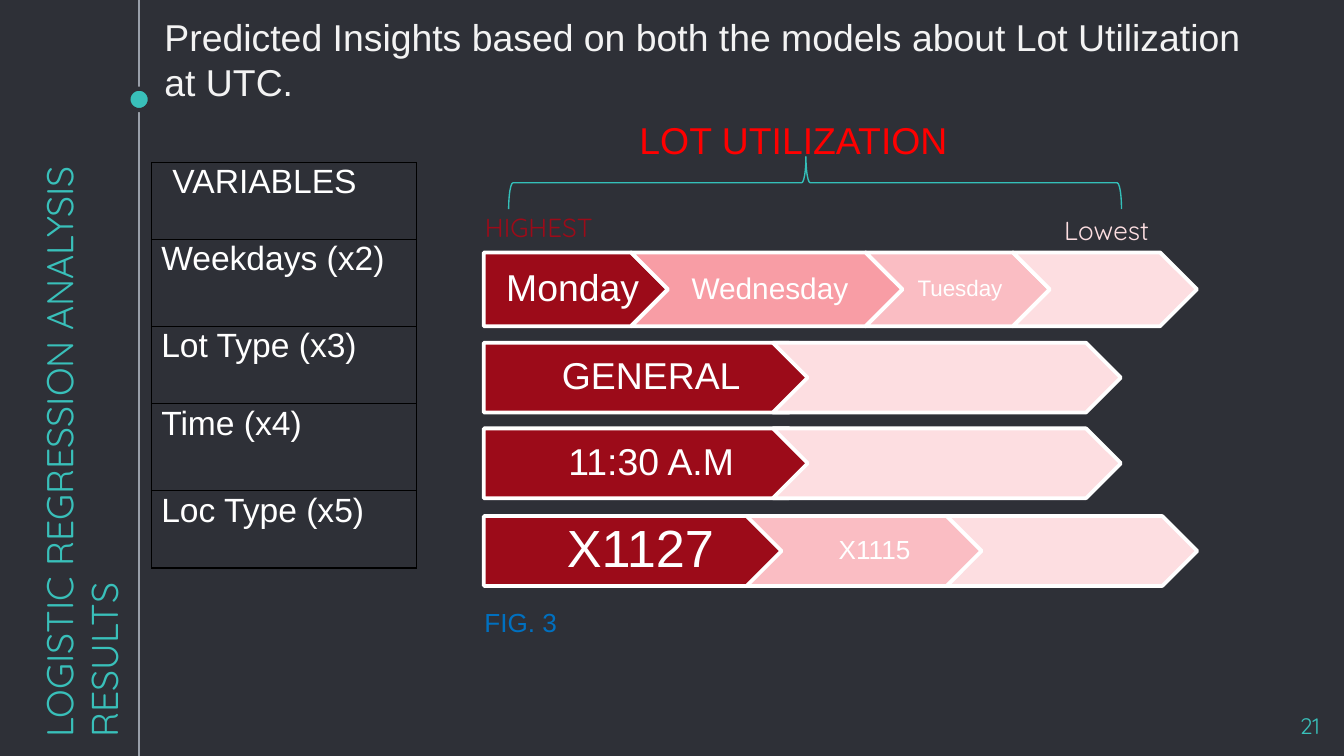
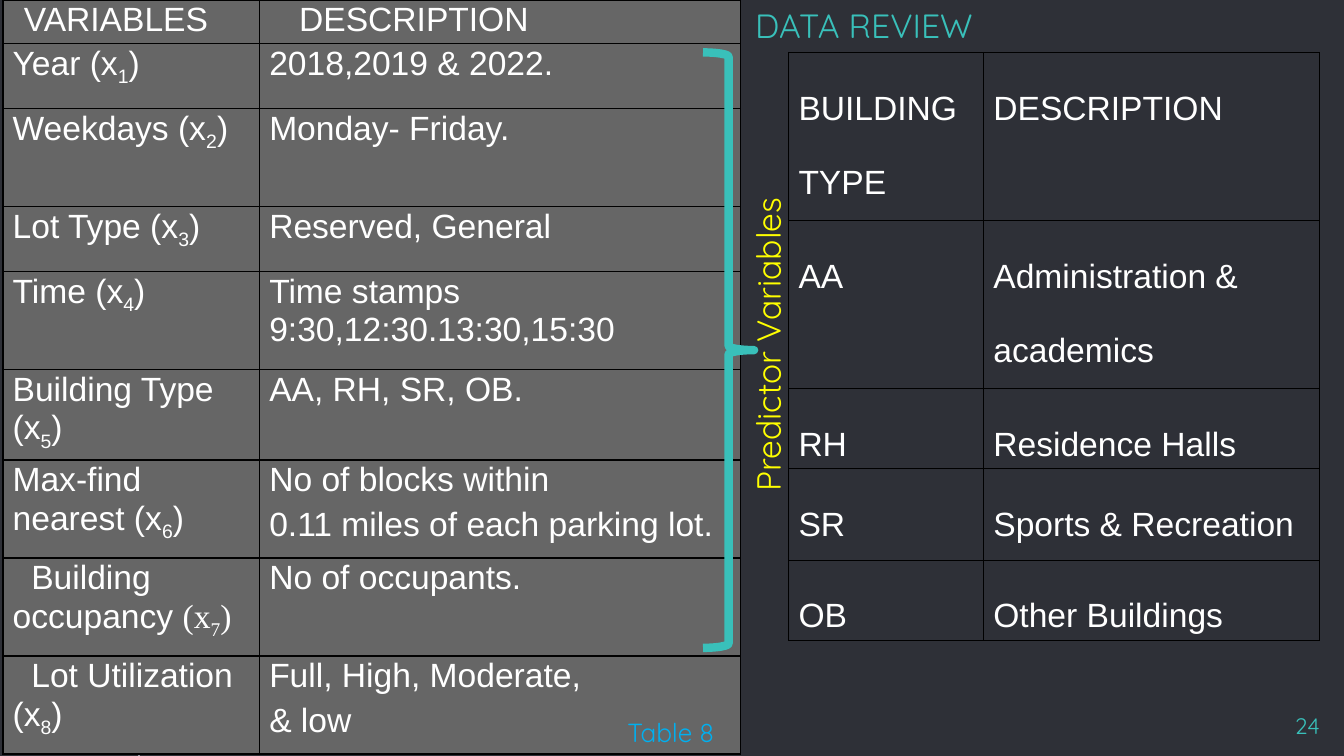
import pptx
import pptx.dml.color
import pptx.enum.shapes
import pptx.enum.text
import pptx.oxml.ns
import pptx.util
from lxml import etree

Pt = pptx.util.Pt
ALIGN = pptx.enum.text.PP_ALIGN
ANCHOR = pptx.enum.text.MSO_ANCHOR
SHAPE = pptx.enum.shapes.MSO_SHAPE
qn = pptx.oxml.ns.qn

COLORS = {
    "background": "2E3037", "rail": "999FA9", "teal": "39C0BA", "brace": "34BFB9",
    "white": "FFFFFF", "subtitle": "F3F3F3", "black": "000000", "gray": "666666",
    "red": "FF0000", "yellow": "FFFF00", "blue": "0070C0", "sky": "00B0F0",
    "highest": "9C0B19", "high": "F89DA5", "low": "FABDC3", "lowest": "FDDEE1",
}
BODY, DISPLAY, SERIF = "Arial", "Quicksand", "Times New Roman"
JUSTIFIED = {"align": ALIGN.JUSTIFY}


def rgb(name):
    return pptx.dml.color.RGBColor.from_string(COLORS[name])


def write(frame, text, size=18, font=BODY, color="white", align=ALIGN.LEFT, anchor=ANCHOR.TOP,
          insets=None, line_spacing=None, gap=0, indent=(0, 0)):
    """Fill a frame; text is one paragraph or a list of them, each a string
    or a tuple of (text, run format) pairs."""
    frame.word_wrap = True
    frame.vertical_anchor = anchor
    if insets:
        (frame.margin_left, frame.margin_top,
         frame.margin_right, frame.margin_bottom) = map(Pt, insets)
    for index, content in enumerate(text if isinstance(text, list) else [text]):
        paragraph = frame.add_paragraph() if index else frame.paragraphs[0]
        paragraph.alignment = align
        if line_spacing:
            paragraph.line_spacing = line_spacing
        if index and gap:
            paragraph.space_before = Pt(gap)
        if any(indent):
            properties = paragraph._p.get_or_add_pPr()
            properties.set("marL", str(Pt(indent[0])))
            properties.set("indent", str(Pt(indent[1])))
        for words, style in ((content, {}),) if isinstance(content, str) else content:
            run = paragraph.add_run()
            run.text = words
            run.font.size = Pt(size)
            run.font.name = style.get("font", font)
            run.font.color.rgb = rgb(color)
            if "baseline" in style:
                run._r.get_or_add_rPr().set("baseline", str(style["baseline"]))


def variable(name, number, font=BODY):
    """Name of a predictor followed by its subscripted symbol."""
    return ((name + " ", {}), ("(x", {"font": font}),
            (str(number), {"font": font, "baseline": -25000}), (")", {"font": font}))


class Deck:
    def __init__(self):
        self.presentation = pptx.Presentation()
        self.presentation.slide_width, self.presentation.slide_height = Pt(720), Pt(405)
        self.layout = self.presentation.slide_layouts.get_by_name("Title Only")
        self.slide = None

    def add_slide(self, title, box, number, size, rotation=0):
        first = self.slide is None
        self.slide = self.presentation.slides.add_slide(self.layout)
        if first:
            self.decorate_layout()
        heading = self.slide.shapes.title
        heading.left, heading.top, heading.width, heading.height = map(Pt, box)
        heading.rotation = rotation
        heading.text_frame.auto_size = pptx.enum.text.MSO_AUTO_SIZE.NONE
        write(heading.text_frame, title, size=size, font=DISPLAY, color="teal",
              anchor=ANCHOR.BOTTOM, insets=[7.2] * 4)
        self.text(str(number), (671, 374.4, 43.2, 24.5), size=12, font=DISPLAY,
                  color="teal", align=ALIGN.RIGHT)

    def decorate_layout(self):
        """Give the layout its background and the rail with its marker."""
        fill = self.layout.background.fill
        fill.solid()
        fill.fore_color.rgb = rgb("background")
        rail = self.line((74.4, 0), (74.4, 405), "rail", 0.75)
        marker = self.shape(SHAPE.OVAL, (68.8, 47.5, 11.5, 11.5), fill="teal",
                            line="background", width=2.25)
        for part in (rail, marker):
            self.layout.element.cSld.spTree.append(part.element)

    def line(self, start, end, color, width):
        connector = self.slide.shapes.add_connector(
            pptx.enum.shapes.MSO_CONNECTOR.STRAIGHT, *map(Pt, start + end))
        connector.line.color.rgb = rgb(color)
        connector.line.width = Pt(width)
        etree.SubElement(connector.element.spPr, qn("a:effectLst"))
        return connector

    def shape(self, kind, box, fill=None, line="white", width=2, rotation=0,
              adjustments=(), parent=None):
        shape = (parent or self.slide).shapes.add_shape(kind, *map(Pt, box))
        shape.shadow.inherit = False
        shape.rotation = rotation
        for index, value in enumerate(adjustments):
            shape.adjustments[index] = value
        if fill:
            shape.fill.solid()
            shape.fill.fore_color.rgb = rgb(fill)
        else:
            shape.fill.background()
        shape.line.color.rgb = rgb(line)
        shape.line.width = Pt(width)
        return shape

    def text(self, text, box, rotation=0, insets=(7.2, 7.2, 7.2, 7.2), **style):
        label = self.slide.shapes.add_textbox(*map(Pt, box))
        label.rotation = rotation
        write(label.text_frame, text, insets=insets, **style)

    def ranking(self, top, height, overlap, steps):
        """Row of interlocking arrows, each step (text or None, width, size, colour)."""
        group = self.slide.shapes.add_group_shape()
        left = 259.2
        for index, (words, width, size, color) in enumerate(steps):
            kind = SHAPE.CHEVRON if index else SHAPE.PENTAGON
            arrow = self.shape(kind, (left, top, width, height), fill=color, parent=group)
            if words:
                insets = [size * part for part in (0.31 if index else 0.43, 0.2, 0.1, 0.2)]
                write(arrow.text_frame, words, size=size, align=ALIGN.CENTER,
                      anchor=ANCHOR.MIDDLE, insets=insets, line_spacing=0.9)
            left += width - overlap

    def table(self, origin, widths, heights, rows, fill=None, formats=None, **style):
        """Bordered table; formats maps (row, column) to changes of the style."""
        box = (*origin, sum(widths), sum(heights))
        table = self.slide.shapes.add_table(len(rows), len(widths), *map(Pt, box)).table
        table.first_row = table.horz_banding = False
        for column, width in zip(table.columns, widths):
            column.width = Pt(width)
        for r, (row, height) in enumerate(zip(rows, heights)):
            table.rows[r].height = Pt(height)
            for c, content in enumerate(row):
                cell = table.cell(r, c)
                cell.margin_left = cell.margin_right = Pt(5.2)
                cell.margin_top = cell.margin_bottom = 0
                self.border(cell)
                if fill:
                    cell.fill.solid()
                    cell.fill.fore_color.rgb = rgb(fill)
                else:
                    cell.fill.background()
                write(cell.text_frame, content, **{**style, **(formats or {}).get((r, c), {})})

    def border(self, cell):
        properties = cell._tc.get_or_add_tcPr()
        for side in ("lnL", "lnR", "lnT", "lnB"):
            edge = etree.SubElement(properties, qn("a:" + side), w=str(Pt(0.75)))
            solid = etree.SubElement(edge, qn("a:solidFill"))
            etree.SubElement(solid, qn("a:srgbClr"), val=COLORS["black"])


def build_insights(deck):
    deck.add_slide("LOGISTIC REGRESSION ANALYSIS RESULTS", (-113, 215, 345.6, 29.5),
                   21, size=20, rotation=270)
    deck.text("Predicted Insights based on both the models about Lot Utilization at UTC.",
              (81, 0.4, 601.2, 26), size=20, color="subtitle")
    names = ["VARIABLES", "Weekdays (x2)", "Lot Type (x3)", "Time (x4)", "Loc Type (x5)"]
    formats = {(r, 0): JUSTIFIED for r in range(1, len(names))}
    formats[0, 0] = {"indent": (6, 0)}
    deck.table((81.2, 87), [141.8], [41.2, 46.7, 41.4, 46.7, 41.4],
               [[name] for name in names], formats=formats, line_spacing=1.03)
    deck.text("FIG. 3", (252.4, 319, 59, 25.2), insets=(7.2, 3.6, 7.2, 3.6), size=14,
              color="blue", line_spacing=1.15)

    deck.ranking(135.2, 39.6, 19.7, [
        ("Monday", 98.6, 20, "highest"), ("Wednesday", 145.4, 16, "high"),
        ("Tuesday", 98.6, 12, "low"), (None, 98.6, 12, "lowest")])
    for top, best in ((183.6, "GENERAL"), (229.5, "11:30 A.M")):
        deck.ranking(top, 37.4, 27.4, [(best, 182.2, 20, "highest"),
                                       (None, 186.5, 12, "lowest")])
    deck.ranking(276.5, 37.4, 27, [
        ("X1127", 167.8, 28, "highest"), ("X1115", 134.2, 14, "low"),
        (None, 134.2, 12, "lowest")])

    deck.shape(SHAPE.LEFT_BRACE, (422.6, -66.2, 28.1, 328.3), line="brace", width=0.75,
               rotation=90, adjustments=(0.083, 0.515))
    deck.text("HIGHEST", (252.7, 105.8, 75.6, 26), size=14, font=DISPLAY, color="highest")
    deck.text("Lowest", (563, 107.6, 75.6, 26), size=14, font=DISPLAY, color="lowest")
    deck.text("LOT UTILIZATION", (335.5, 55.4, 189.4, 26), size=20, color="red")


def build_data_review(deck):
    deck.add_slide("DATA REVIEW", (397.4, 1.8, 136, 29.5), 24, size=18)
    buildings = [
        [["BUILDING", "TYPE"], "DESCRIPTION"],
        ["AA", ["Administration &", "academics"]],
        ["RH", "Residence Halls"],
        ["SR", "Sports & Recreation"],
        ["OB", "Other Buildings"],
    ]
    justified = [(0, 0), (0, 1), (2, 0), (3, 0), (4, 0)]
    deck.table((422.6, 28.1), [104.4, 180], [90, 90, 41.4, 49, 41.4], buildings,
               formats=dict.fromkeys(justified, JUSTIFIED), line_spacing=1.99)

    predictors = [
        ["VARIABLES", "DESCRIPTION"],
        [variable("Year", 1), "2018,2019 & 2022."],
        [variable("Weekdays", 2), "Monday- Friday."],
        [variable("Lot Type", 3), "Reserved, General"],
        [variable("Time", 4), "Time stamps 9:30,12:30.13:30,15:30"],
        [variable("Building Type", 5), "AA, RH, SR, OB."],
        [variable("Max-find nearest", 6),
         ["No of blocks within", "0.11 miles of each parking lot."]],
        [variable("Building occupancy", 7, SERIF), "No of occupants."],
        [variable("Lot Utilization", 8), ["Full, High, Moderate,", "& low"]],
    ]
    formats = {
        (0, 0): {"indent": (6, 0)}, (0, 1): {"indent": (6, 10), **JUSTIFIED},
        (7, 0): {"indent": (0, 10)}, (8, 0): {"indent": (0, 10)},
    }
    deck.table((1.6, 0), [137.5, 257.8], [23.4, 34.8, 52.5, 34.8, 52.5, 48.5, 52.5, 52.5, 52.5],
               predictors, fill="gray", formats=formats, line_spacing=1.03, gap=3.3)

    deck.text("Table 8", (329, 380.2, 70.6, 24.5), insets=(7.2, 3.6, 7.2, 3.6), size=14,
              font=DISPLAY, color="sky")
    deck.shape(SHAPE.RIGHT_BRACE, (376.6, 28.1, 27.4, 319), line="teal", width=4.5)
    deck.text("Predictor Variables", (301.7, 149.4, 212.4, 29.5), rotation=270, size=18,
              font=DISPLAY, color="yellow")


def main():
    deck = Deck()
    build_insights(deck)
    build_data_review(deck)
    deck.presentation.save("out.pptx")


if __name__ == "__main__":
    main()
